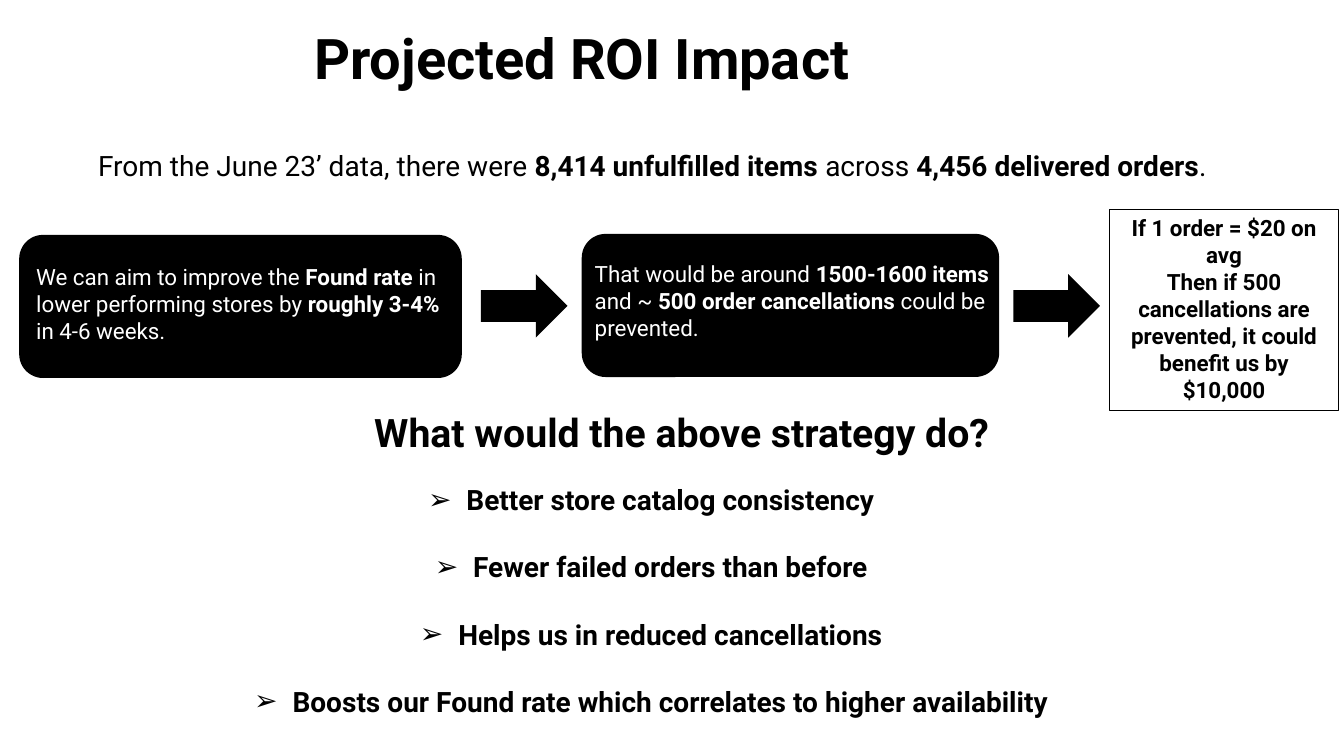
from dataclasses import dataclass

from lxml import etree
from pptx import Presentation
from pptx.dml.color import RGBColor
from pptx.enum.shapes import MSO_SHAPE
from pptx.enum.text import MSO_ANCHOR, PP_ALIGN
from pptx.oxml.ns import qn
from pptx.util import Inches, Pt

ROUNDED = MSO_SHAPE.ROUNDED_RECTANGLE
ARROW = MSO_SHAPE.RIGHT_ARROW
RECTANGLE = MSO_SHAPE.RECTANGLE
LEFT = PP_ALIGN.LEFT
CENTER = PP_ALIGN.CENTER
TOP = MSO_ANCHOR.TOP
MIDDLE = MSO_ANCHOR.MIDDLE


@dataclass(frozen=True)
class Theme:
    font: str = "Roboto"
    ink: RGBColor = RGBColor(0x00, 0x00, 0x00)
    paper: RGBColor = RGBColor(0xFF, 0xFF, 0xFF)
    title: int = 40
    heading: int = 28
    body: int = 20
    step: int = 16
    outline: float = 0.75


THEME = Theme()

FINDING = [
    ("From the June 23’ data, there were ", False),
    ("8,414 unfulfilled items ", True),
    ("across ", False),
    ("4,456 delivered orders", True),
    (".", False),
]
AIM = [
    ("We can aim to improve the ", False),
    ("Found rate ", True),
    ("in lower performing stores by ", False),
    ("roughly 3-4%", True),
    (" in 4-6 weeks.", False),
]
EFFECT = [
    ("That would be around ", False),
    ("1500-1600 items ", True),
    ("and ~ ", False),
    ("500 order cancellations ", True),
    ("could be prevented.", False),
]
SAVING = [
    "If 1 order = $20 on avg",
    "Then if 500 cancellations are prevented, it could benefit us by $10,000",
]
BENEFITS = [
    "Better store catalog consistency",
    "Fewer failed orders than before",
    "Helps us in reduced cancellations",
    "Boosts our Found rate which correlates to higher availability",
]


def bold_lines(*lines):
    return [[(line, True)] for line in lines]


def write(frame, paragraphs, size, color=THEME.ink, align=CENTER, anchor=TOP):
    frame.word_wrap = True
    frame.vertical_anchor = anchor
    for index, pieces in enumerate(paragraphs):
        paragraph = frame.paragraphs[0] if index == 0 else frame.add_paragraph()
        paragraph.alignment = align
        for text, bold in pieces:
            run = paragraph.add_run()
            run.text = text
            run.font.name = THEME.font
            run.font.size = Pt(size)
            run.font.bold = bold
            run.font.color.rgb = color


def add_text(slide, box, paragraphs, size, **style):
    frame = slide.shapes.add_textbox(*map(Inches, box)).text_frame
    write(frame, paragraphs, size, **style)
    return frame


def add_solid(slide, preset, box):
    shape = slide.shapes.add_shape(preset, *map(Inches, box))
    shape.shadow.inherit = False
    shape.fill.solid()
    shape.fill.fore_color.rgb = THEME.ink
    shape.line.fill.background()


def add_outlined(slide, box, paragraphs):
    shape = slide.shapes.add_shape(RECTANGLE, *map(Inches, box))
    shape.shadow.inherit = False
    shape.fill.background()
    shape.line.color.rgb = THEME.ink
    shape.line.width = Pt(THEME.outline)
    write(shape.text_frame, paragraphs, THEME.step)


def add_arrow_bullets(frame, indent, gap):
    for paragraph in frame.paragraphs:
        paragraph.space_after = Pt(gap)
        properties = paragraph._p.get_or_add_pPr()
        properties.set("marL", str(Inches(indent)))
        properties.set("indent", str(-Inches(indent)))
        etree.SubElement(properties, qn("a:buFont")).set("typeface", "Arial")
        etree.SubElement(properties, qn("a:buChar")).set("char", "➢")


def main():
    deck = Presentation()
    deck.slide_width = Inches(13.33)
    deck.slide_height = Inches(7.5)
    slide = deck.slides.add_slide(deck.slide_layouts[6])

    title = add_text(slide, (0.5, 0.25, 9.87, 0.71),
                     bold_lines("Projected ROI Impact"), THEME.title, anchor=MIDDLE)
    title.margin_left = Inches(0.77)
    title.paragraphs[0].line_spacing = 0.9

    add_text(slide, (0.5, 1.42, 11.94, 0.44), [FINDING], THEME.body)

    benefits = add_text(slide, (0.49, 4.74, 11.94, 3.13),
                        bold_lines(*BENEFITS), THEME.body)
    add_arrow_bullets(benefits, indent=0.38, gap=24)

    steps = [
        ((0.19, 2.33, 4.39, 1.42), (0.26, 2.56, 4.25, 0.91), AIM),
        ((5.77, 2.32, 4.14, 1.42), (5.8, 2.53, 4.11, 0.91), EFFECT),
    ]
    for card, caption, pieces in steps:
        add_solid(slide, ROUNDED, card)
        add_text(slide, caption, [pieces], THEME.step, color=THEME.paper, align=LEFT)

    for arrow_left in (4.77, 10.05):
        add_solid(slide, ARROW, (arrow_left, 2.72, 0.86, 0.63))

    add_text(slide, (0.79, 4, 11.94, 0.57),
             bold_lines("What would the above strategy do?"), THEME.heading)
    add_outlined(slide, (11, 2.08, 2.28, 1.99), bold_lines(*SAVING))

    deck.save("out.pptx")


if __name__ == "__main__":
    main()
